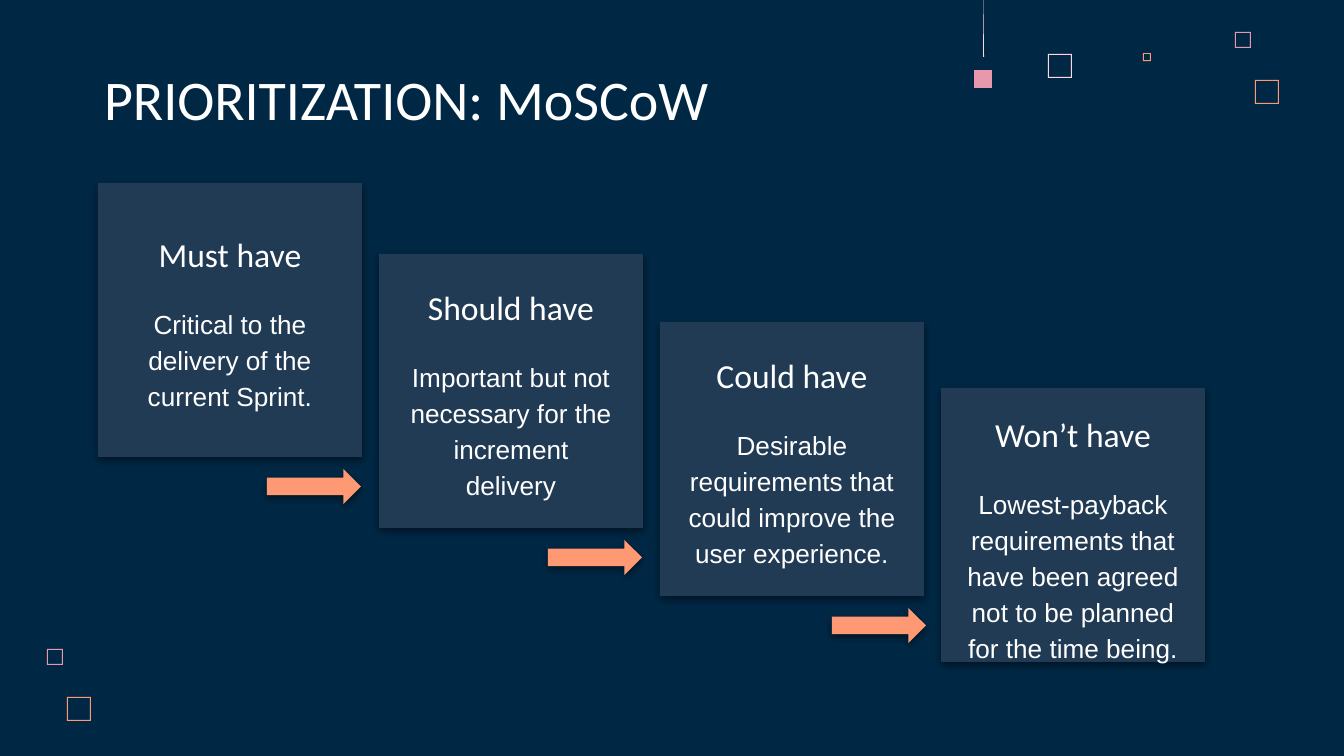
from dataclasses import dataclass

from lxml import etree
from pptx import Presentation
from pptx import util as u
from pptx.dml.color import RGBColor
from pptx.enum import shapes, text
from pptx.oxml import ns

EMU_PER_PX = 9144000 / 1344
COLORS = {
    "navy": "002845",
    "card": "213B55",
    "white": "FFFFFF",
    "coral": "FF9973",
    "rose": "E898AC",
    "blush": "FFD6E1",
    "shadow": "000000",
}
CARD_LEFT, CARD_STEP = 98, 281
CARD_WIDTH, CARD_HEIGHT = 264, 274
ARROW_WIDTH, ARROW_HEIGHT, ARROW_GAP = 94, 35, 12
INSET = 13


@dataclass
class Square:
    left: int
    top: int
    size: int
    color: str
    hollow: bool = True


@dataclass
class Priority:
    heading: str
    detail: str
    top: int
    text_width: int
    text_shift: int = 0
    arrow_left: int | None = None


SQUARES = [
    Square(1048, 54, 24, "blush"),
    Square(1235, 32, 16, "rose"),
    Square(1143, 53, 8, "coral"),
    Square(1255, 80, 24, "coral"),
    Square(974, 70, 18, "rose", hollow=False),
    Square(47, 649, 16, "rose"),
    Square(67, 697, 24, "coral"),
]
PRIORITIES = [
    Priority("Must have", "Critical to the delivery of the current Sprint.",
             183, 237, arrow_left=267),
    Priority("Should have", "Important but not necessary for the increment delivery",
             254, 237, arrow_left=548),
    Priority("Could have", "Desirable requirements that could improve the user experience.",
             322, 263, arrow_left=832),
    Priority("Won’t have", "Lowest-payback requirements that have been agreed "
             "not to be planned for the time being.", 388, 251, text_shift=11),
]


def px(length: float) -> u.Emu:
    return u.Emu(round(length * EMU_PER_PX))


def rgb(name: str) -> RGBColor:
    return RGBColor.from_string(COLORS[name])


def paint(shape, color: str) -> None:
    shape.fill.solid()
    shape.fill.fore_color.rgb = rgb(color)
    shape.line.fill.background()
    shape.shadow.inherit = False


def add_outline(slide, contours: list[list[tuple[int, int]]], color: str) -> None:
    first, *others = contours
    builder = slide.shapes.build_freeform(*first[0], scale=EMU_PER_PX)
    builder.add_line_segments(first[1:])
    for contour in others:
        builder.move_to(*contour[0])
        builder.add_line_segments(contour[1:])
    paint(builder.convert_to_shape(), color)


def add_square(slide, square: Square) -> None:
    left, top = square.left, square.top
    right, bottom = left + square.size, top + square.size
    contours = [[(left, top), (left, bottom), (right, bottom), (right, top)]]
    if square.hollow:
        contours.append([(left + 1, top + 1), (right - 1, top + 1),
                         (right - 1, bottom - 1), (left + 1, bottom - 1)])
    add_outline(slide, contours, square.color)


def add_raised(slide, preset, left: int, top: int, width: int, height: int, color: str) -> None:
    """Add a preset shape with a soft shadow below it."""
    shape = slide.shapes.add_shape(preset, px(left), px(top), px(width), px(height))
    paint(shape, color)
    effects = shape._element.spPr.find(ns.qn("a:effectLst"))
    shadow = etree.SubElement(effects, ns.qn("a:outerShdw"), blurRad=str(u.Pt(4.5)),
                              dist=str(u.Pt(1.5)), dir="5400000", algn="bl", rotWithShape="0")
    tint = etree.SubElement(shadow, ns.qn("a:srgbClr"), val=COLORS["shadow"])
    etree.SubElement(tint, ns.qn("a:alpha"), val="50000")


def prepare_frame(frame, anchor) -> None:
    frame.word_wrap = True
    frame.auto_size = text.MSO_AUTO_SIZE.NONE
    frame.vertical_anchor = anchor
    frame.margin_left = frame.margin_right = px(INSET)
    frame.margin_top = frame.margin_bottom = px(INSET)


def write(paragraph, words: str, *, size: int, font: str, align=text.PP_ALIGN.CENTER,
          line_spacing: float = 1.15, gap: int = 0) -> None:
    paragraph.alignment = align
    paragraph.line_spacing = line_spacing
    paragraph.space_before = paragraph.space_after = u.Pt(gap)
    run = paragraph.add_run()
    run.text = words
    run.font.size = u.Pt(size)
    run.font.name = font
    run.font.color.rgb = rgb("white")


def add_priority(slide, priority: Priority, left: int) -> None:
    add_raised(slide, shapes.MSO_SHAPE.RECTANGLE, left, priority.top,
               CARD_WIDTH, CARD_HEIGHT, "card")
    text_left = left + (CARD_WIDTH - priority.text_width) / 2
    label = slide.shapes.add_textbox(px(text_left), px(priority.top + priority.text_shift),
                                     px(priority.text_width), px(CARD_HEIGHT))
    frame = label.text_frame
    prepare_frame(frame, text.MSO_ANCHOR.MIDDLE)
    write(frame.paragraphs[0], priority.heading, size=18, font="Calibri")
    write(frame.add_paragraph(), priority.detail, size=14, font="Arial", gap=16)
    if priority.arrow_left is not None:
        add_raised(slide, shapes.MSO_SHAPE.RIGHT_ARROW, priority.arrow_left,
                   priority.top + CARD_HEIGHT + ARROW_GAP, ARROW_WIDTH, ARROW_HEIGHT, "coral")


def main() -> None:
    deck = Presentation()
    deck.slide_width, deck.slide_height = px(1344), px(756)
    slide = deck.slides.add_slide(deck.slide_layouts[5])
    slide.background.fill.solid()
    slide.background.fill.fore_color.rgb = rgb("navy")

    # Corner decoration
    for square in SQUARES:
        add_square(slide, square)
    add_outline(slide, [[(983, -24), (983, 57), (984, 57)]], "blush")

    # Title
    title = slide.shapes.title
    title.left, title.top, title.width, title.height = px(91), px(60), px(695), px(85)
    prepare_frame(title.text_frame, text.MSO_ANCHOR.BOTTOM)
    write(title.text_frame.paragraphs[0], "PRIORITIZATION: MoSCoW", size=30,
          font="Calibri", align=text.PP_ALIGN.LEFT, line_spacing=1.0)

    # Descending steps
    for step, priority in enumerate(PRIORITIES):
        add_priority(slide, priority, CARD_LEFT + step * CARD_STEP)

    deck.save("out.pptx")


if __name__ == "__main__":
    main()
